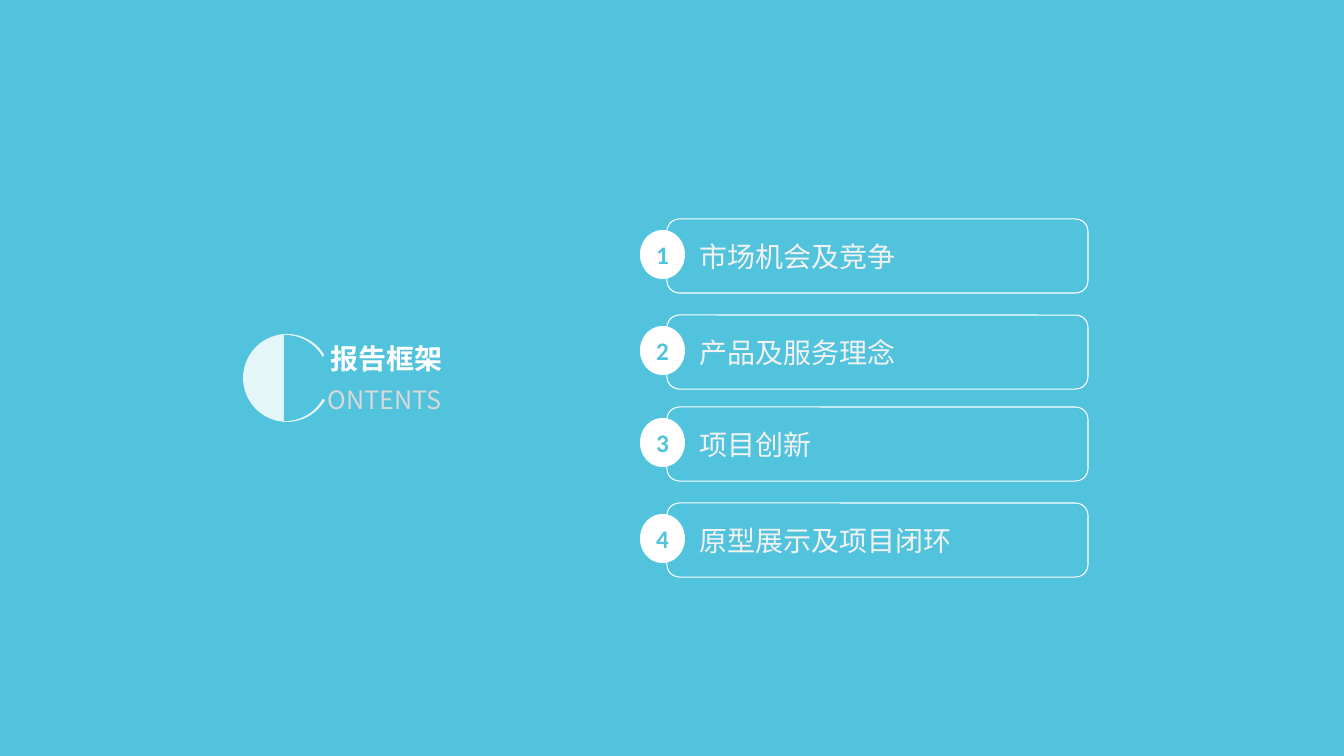
import math
from dataclasses import dataclass

from lxml import etree
from pptx import Presentation
from pptx.dml.color import RGBColor
from pptx.enum.shapes import MSO_SHAPE
from pptx.enum.text import MSO_ANCHOR, MSO_AUTO_SIZE, PP_ALIGN
from pptx.oxml.ns import qn
from pptx.util import Emu, Pt

OVAL = MSO_SHAPE.OVAL
ROUNDED = MSO_SHAPE.ROUNDED_RECTANGLE
TOP, MIDDLE = MSO_ANCHOR.TOP, MSO_ANCHOR.MIDDLE
LEFT, CENTER = PP_ALIGN.LEFT, PP_ALIGN.CENTER
FIXED, GROW = MSO_AUTO_SIZE.NONE, MSO_AUTO_SIZE.SHAPE_TO_FIT_TEXT
SLIDE_WIDTH, SLIDE_HEIGHT = 1344, 756
SCALE = 12192000 / SLIDE_WIDTH


@dataclass(frozen=True)
class Theme:
    background: str = "52C3DD"
    white: str = "FFFFFF"
    subtitle: str = "D9D9D9"
    item: str = "F2F2F2"
    text_font: str = "Noto Sans CJK SC"
    number_font: str = "Calibri"
    large: int = 20
    small: int = 18
    disc_opacity: int = 85
    outline: float = 0.75


THEME = Theme()


def px(length):
    return Emu(round(length * SCALE))


def color(value):
    return RGBColor.from_string(value)


def add_run(paragraph, text, size, value, font=THEME.text_font, bold=False):
    run = paragraph.add_run()
    run.text = text
    run.font.size = Pt(size)
    run.font.bold = bold
    run.font.name = font
    run.font.color.rgb = color(value)
    properties = run._r.get_or_add_rPr()
    etree.SubElement(properties, qn("a:ea")).set("typeface", font)
    return run


def outline_text(run):
    line = etree.Element(qn("a:ln"), w=str(Pt(THEME.outline)))
    fill = etree.SubElement(line, qn("a:solidFill"))
    etree.SubElement(fill, qn("a:srgbClr"), val=THEME.white)
    run._r.get_or_add_rPr().insert(0, line)


def paint(shape, value):
    shape.shadow.inherit = False
    shape.fill.solid()
    shape.fill.fore_color.rgb = color(value)
    shape.line.fill.background()


def add_disc(slide, left, top, width, height, value):
    disc = slide.shapes.add_shape(OVAL, px(left), px(top), px(width), px(height))
    paint(disc, value)
    return disc


def add_emblem(slide, left, top):
    disc = add_disc(slide, left, top, 88, 88, THEME.white)
    disc_color = disc.fill._xPr.find(qn("a:solidFill"))[0]
    etree.SubElement(disc_color, qn("a:alpha")).set("val", str(THEME.disc_opacity * 1000))

    center_x, center_y, radius = left + 42, top + 44, 43
    arc = [
        (px(center_x + radius * math.cos(math.radians(angle))),
         px(center_y + radius * math.sin(math.radians(angle))))
        for angle in range(-90, 91, 3)
    ]
    edge = px(left + 41)
    builder = slide.shapes.build_freeform(edge, px(center_y - radius))
    builder.add_line_segments(arc + [(edge, px(center_y + radius))], close=True)
    paint(builder.convert_to_shape(), THEME.background)

    add_disc(slide, left + 72, top + 17, 42, 53, THEME.background)


def add_heading(slide, left, top):
    title = slide.shapes.title
    slide.shapes._spTree.append(title._element)
    title.left, title.top, title.width, title.height = map(px, (left + 2, top, 150, 46))
    frame = title.text_frame
    frame.word_wrap = True
    frame.auto_size = FIXED
    frame.vertical_anchor = TOP
    frame.paragraphs[0].alignment = LEFT
    add_run(frame.paragraphs[0], "报告框架", THEME.large, THEME.white, bold=True)

    subtitle = slide.shapes.add_textbox(px(left), px(top + 43), px(158), px(42))
    subtitle.text_frame.word_wrap = True
    subtitle.text_frame.auto_size = GROW
    add_run(subtitle.text_frame.paragraphs[0], "ONTENTS", THEME.small, THEME.subtitle)


def add_item(slide, left, top, number, text):
    box = slide.shapes.add_shape(ROUNDED, px(left + 27), px(top), px(421), px(74))
    box.shadow.inherit = False
    box.fill.background()
    box.line.color.rgb = color(THEME.white)
    box.line.width = Pt(0)
    frame = box.text_frame
    frame.word_wrap = True
    frame.margin_left = px(29)
    frame.vertical_anchor = MIDDLE
    frame.paragraphs[0].alignment = LEFT
    outline_text(add_run(frame.paragraphs[0], text, THEME.large, THEME.item))

    badge = add_disc(slide, left, top + 11, 45, 49, THEME.white)
    frame = badge.text_frame
    frame.margin_left = frame.margin_right = 0
    frame.vertical_anchor = MIDDLE
    frame.paragraphs[0].alignment = CENTER
    add_run(frame.paragraphs[0], str(number), THEME.small, THEME.background,
            THEME.number_font, True)


def add_contents_slide(presentation):
    slide = presentation.slides.add_slide(presentation.slide_layouts[5])
    slide.background.fill.solid()
    slide.background.fill.fore_color.rgb = color(THEME.background)
    add_emblem(slide, 243, 334)
    add_heading(slide, 318, 336)
    items = [
        (219, "市场机会及竞争"),
        (315, "产品及服务理念"),
        (407, "项目创新"),
        (503, "原型展示及项目闭环"),
    ]
    for number, (top, text) in enumerate(items, start=1):
        add_item(slide, 640, top, number, text)


def main():
    presentation = Presentation()
    presentation.slide_width = px(SLIDE_WIDTH)
    presentation.slide_height = px(SLIDE_HEIGHT)
    add_contents_slide(presentation)
    presentation.save("out.pptx")


if __name__ == "__main__":
    main()
